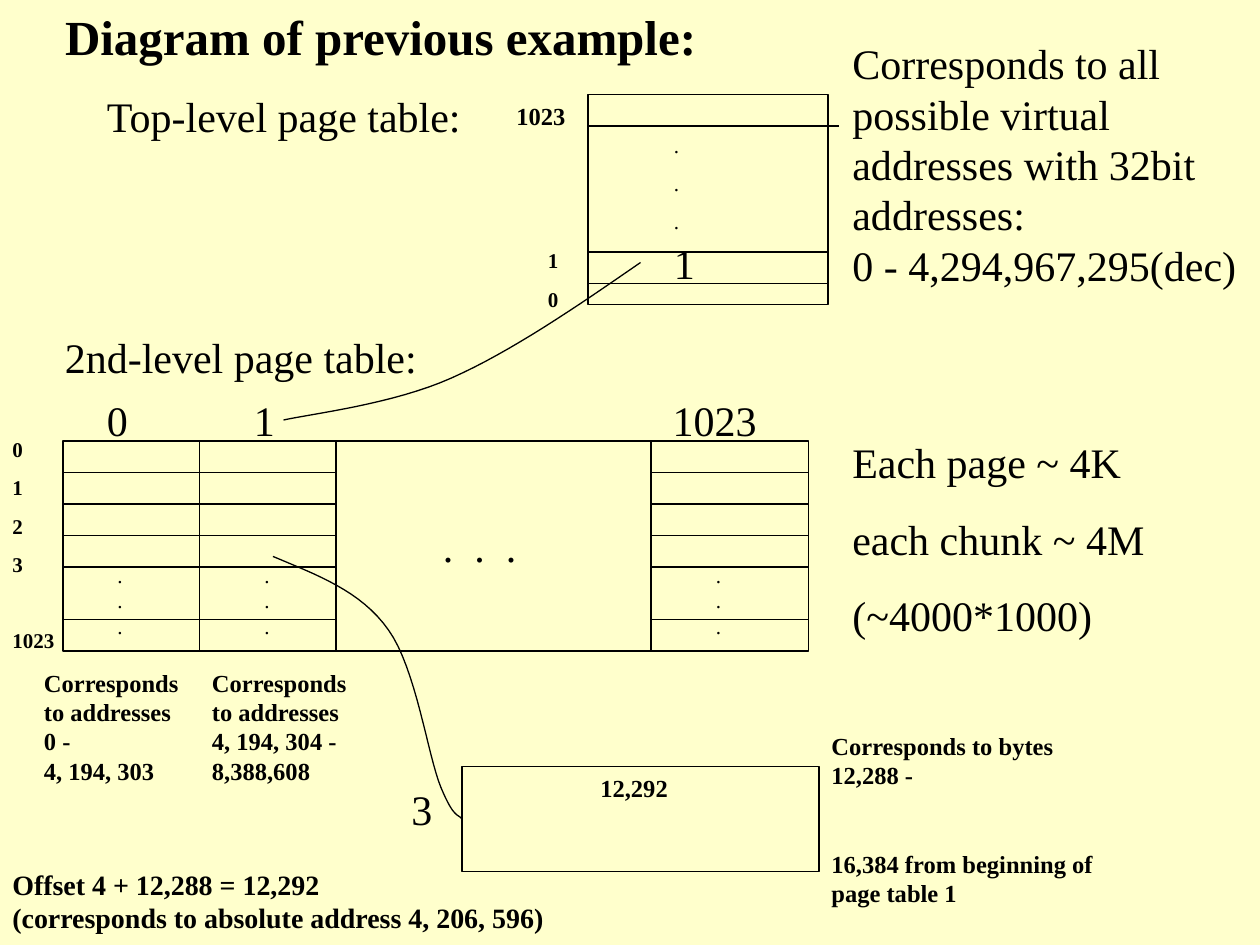
from lxml.etree import SubElement
from pptx import Presentation
from pptx.dml.color import RGBColor
from pptx.enum.shapes import MSO_CONNECTOR as Link, MSO_SHAPE as Kind
from pptx.enum.text import MSO_ANCHOR as Anchor, MSO_AUTO_SIZE as Fit, PP_ALIGN as Align
from pptx.oxml.ns import qn
from pptx.util import Pt

PX = 9525  # 96 px to the inch
FONT = "Times New Roman"
COLORS = {"paper": "FFFFCC", "ink": "000000"}
DOTS = "\n".join("...")


def px(*nums):
    return [round(n * PX) for n in nums]


def color(name):
    return RGBColor.from_string(COLORS[name])


def style(para, size, bold):
    font = para.font
    font.name, font.size, font.bold = FONT, Pt(size), bold
    font.color.rgb = color("ink")


def write(slide, box, text, size=24, bold=False, gap=0, tabs=()):
    """Add a text box; gap is the space between paragraphs, tabs are px."""
    frame = slide.shapes.add_textbox(*px(*box)).text_frame
    frame.word_wrap = True
    frame.auto_size = Fit.SHAPE_TO_FIT_TEXT
    frame.text = text
    for i, para in enumerate(frame.paragraphs):
        if tabs:
            stops = SubElement(para._p.get_or_add_pPr(), qn("a:tabLst"))
            for pos in tabs:
                SubElement(stops, qn("a:tab"), pos=str(pos * PX), algn="l")
        style(para, size, bold)
        if i:
            para.space_before = Pt(gap)
    return frame


def trace(line):
    line.color.rgb = color("ink")
    line.width = Pt(0.75)


def rule(slide, *ends):
    wire = slide.shapes.add_connector(Link.STRAIGHT, *px(*ends))
    trace(wire.line)
    SubElement(wire._element.spPr, qn("a:effectLst"))


def frame_box(slide, box):
    shape = slide.shapes.add_shape(Kind.RECTANGLE, *px(*box))
    shape.shadow.inherit = False
    shape.fill.solid()
    shape.fill.fore_color.rgb = color("paper")
    trace(shape.line)


def curve(slide, x, y, knots, steps=16):
    """Draw joined cubic curves; knots are relative to x, y."""
    pts = [(x + a, y + b) for a, b in knots]
    path = []
    for i in range(0, len(pts) - 1, 3):
        for n in range(1, steps + 1):
            t = n / steps
            mix = ((1 - t) ** 3, 3 * t * (1 - t) ** 2, 3 * t * t * (1 - t), t ** 3)
            path.append(px(*(sum(m * p[k] for m, p in zip(mix, pts[i:i + 4]))
                             for k in (0, 1))))
    pen = slide.shapes.build_freeform(*px(*pts[0]), scale=1.0)
    pen.add_line_segments(path, close=False)
    shape = pen.convert_to_shape()
    shape.shadow.inherit = False
    shape.fill.background()
    trace(shape.line)


def head(slide, box):
    title = slide.shapes.title
    title.left, title.top, title.width, title.height = px(*box)
    frame = title.text_frame
    frame.text = "Diagram of previous example:"
    frame.auto_size = Fit.NONE
    frame.vertical_anchor = Anchor.TOP
    para = frame.paragraphs[0]
    para.alignment = Align.LEFT
    style(para, 28, True)


def top_table(slide, box):
    x, y, w, h = box
    write(slide, (x - 376, y - 8, 360, 48), "Top-level page table:")
    frame_box(slide, box)
    for drop, extra in ((24, 8), (120, 0), (144, 0)):
        rule(slide, x, y + drop, x + w + extra, y + drop)
    write(slide, (x - 64, y, 72, 33), "1023", 14, True)
    write(slide, (x - 40, y + 112, 39, 59), "1\n0", 12, True, 7.5)
    write(slide, (x + 56, y + 24, 56, 87), DOTS, 12, gap=7.5)
    write(slide, (x + 56, y + 104, 96, 48), "1")
    write(slide, (x + w + 9, y - 48, 320, 202),
          "Corresponds to all possible virtual addresses with 32bit "
          "addresses:\v0 - 4,294,967,295(dec)")


def next_table(slide, box):
    x, y, w, h = box
    write(slide, (x - 8, y - 88, 328, 48), "2nd-level page table:")
    curve(slide, x, y, [(440, -136), (391, -102), (341, -68), (296, -48),
                        (251, -28), (191, -21), (168, -16)])
    frame_box(slide, box)
    for col in (104, 208, 448):
        rule(slide, x + col, y, x + col, y + h)
    for row in (24, 48, 72, 96, 136):
        for left, right in ((0, 208), (448, w)):
            rule(slide, x + left, y + row, x + right, y + row)
    for col in (32, 144, 488):
        write(slide, (x + col, y + 88, 24, 67), DOTS, 12)
    write(slide, (x + 280, y + 56, 104, 48), ".\t.\t.", tabs=(24, 48))
    labels = write(slide, (x - 48, y - 8, 56, 175), "0\n1\n2\n3\n1023", 12, True, 7.5)
    labels.paragraphs[-1].space_before = Pt(29)
    write(slide, (x, y - 40, w, 48), "\t0\t1\t1023", tabs=(24, 136, 455))
    write(slide, (x + w + 24, y - 8, 288, 165),
          "Each page ~ 4K\neach chunk ~ 4M\n(~4000*1000)", gap=15)
    spans = ("0 -\v4, 194, 303", "4, 194, 304 -\v8,388,608")
    for i, span in enumerate(spans):
        write(slide, (x - 24 + 128 * i, y + 168, 128, 100),
              "Corresponds to addresses\v" + span, 14, True)


def page(slide, box):
    x, y, w, h = box
    curve(slide, x, y, [(-144, -160), (-111, -146), (-77, -134), (-56, -104),
                        (-35, -75), (-26, -8), (-16, 16),
                        (-6, 40), (-3, 36), (0, 40)])
    frame_box(slide, box)
    write(slide, (x - 48, y + 8, 39, 48), "3")
    write(slide, (x + 96, y, 144, 33), "12,292", 14, True)
    write(slide, (x + w, y - 32, 255, 145),
          "Corresponds to bytes\v12,288 -\n16,384 from beginning of page table 1",
          14, True, 34)
    write(slide, (x - 352, y + 72, 616, 61),
          "Offset 4 + 12,288 = 12,292\v"
          "(corresponds to absolute address 4, 206, 596)", 16, True)


def main():
    deck = Presentation()
    deck.slide_width, deck.slide_height = px(960, 720)
    slide = deck.slides.add_slide(deck.slide_layouts[5])
    fill = slide.background.fill
    fill.solid()
    fill.fore_color.rgb = color("paper")
    head(slide, (40, 0, 824, 55))
    top_table(slide, (448, 72, 183, 160))
    next_table(slide, (48, 336, 568, 160))
    page(slide, (352, 584, 272, 80))
    deck.save("out.pptx")


if __name__ == "__main__":
    main()
